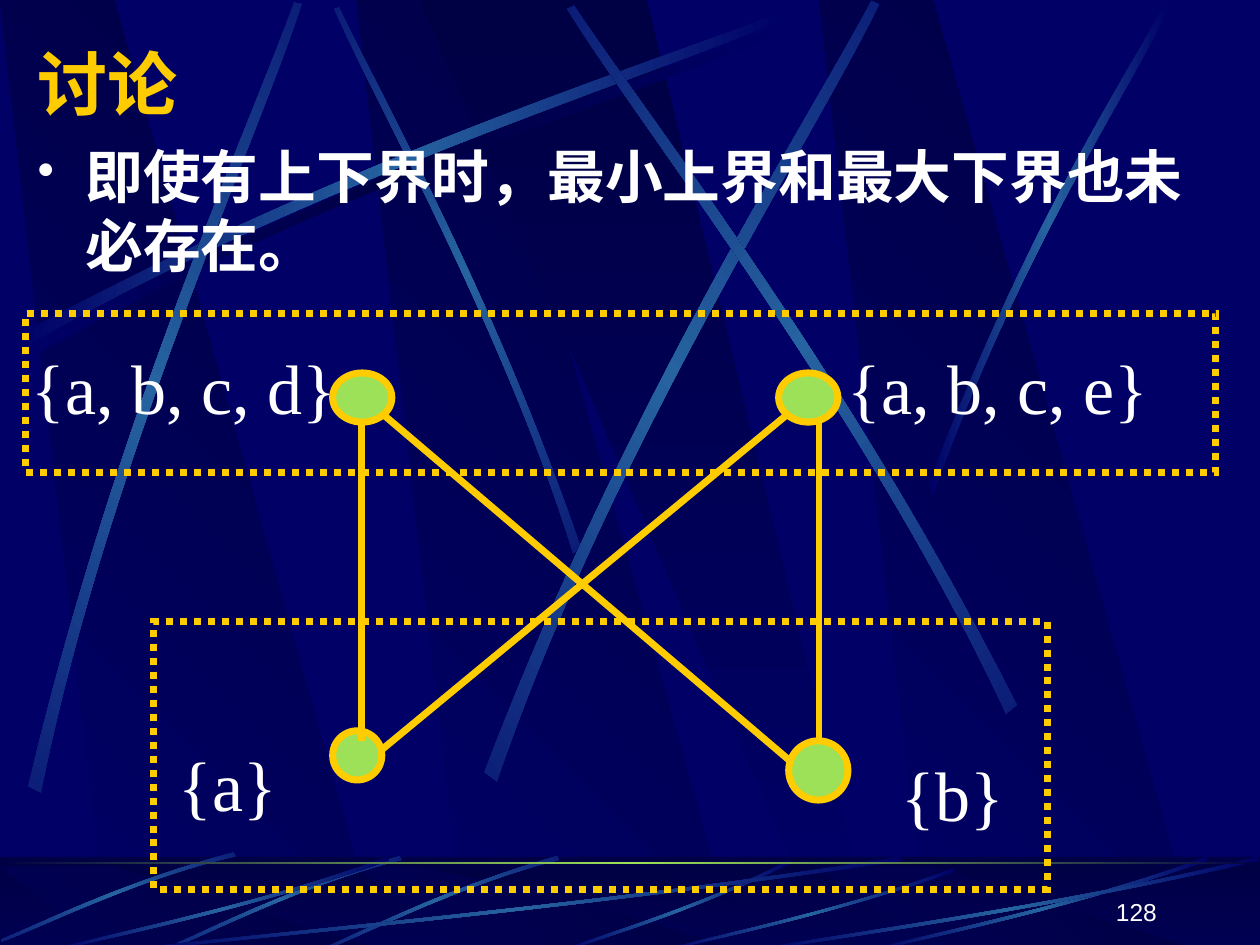
import copy
import pptx
import pptx.util
import pptx.dml.color
import pptx.enum.dml
import pptx.enum.shapes
import pptx.enum.text
import pptx.oxml
import pptx.oxml.ns

Inches, Pt = pptx.util.Inches, pptx.util.Pt
RGBColor = pptx.dml.color.RGBColor
MSO_SHAPE = pptx.enum.shapes.MSO_SHAPE
MSO_ANCHOR = pptx.enum.text.MSO_ANCHOR
PP_ALIGN = pptx.enum.text.PP_ALIGN
qn = pptx.oxml.ns.qn

NAVY = RGBColor(0x00, 0x00, 0x66)
DARK = RGBColor(0x00, 0x00, 0x44)
BLUE = RGBColor(0x26, 0x63, 0xA0)
GREEN = RGBColor(0x9C, 0xE1, 0x57)
GOLD = RGBColor(0xFF, 0xCC, 0x00)
WHITE = RGBColor(0xFF, 0xFF, 0xFF)
CJK, SANS, SERIF = "Noto Sans CJK SC", "Arial", "Times New Roman"

# Content
TITLE = "讨论"
BODY = "即使有上下界时，最小上界和最大下界也未必存在。"
NUMBER = "128"
LABELS = [
    ("{a, b, c, d}", (0.21, 2.57, 2.5, 1)),
    ("{a, b, c, e}", (6.67, 2.57, 2.5, 1)),
    ("{a}", (1.22, 5.72, 1.18, 1)),
    ("{b}", (6.97, 5.8, 1.18, 1)),
]
NODES = [(2.64, 5.8, 0.39, 0.39), (6.26, 5.88, 0.47, 0.47),
         (2.64, 2.96, 0.47, 0.39), (6.18, 2.96, 0.47, 0.39)]
EDGES = [(2.87, 3.36, 2.87, 5.88), (3.03, 5.95, 6.26, 3.28),
         (6.5, 3.36, 6.5, 5.88), (3.03, 3.28, 6.26, 6.03)]
FRAMES = [(1.22, 4.93, 7.09, 2.13), (0.2, 2.49, 9.45, 1.26)]

# Background outlines, in fractions of their box
PANEL = [(0.285, 1), (1, 1), (0.3, 0), (0, 0)]
WEDGE = [(0, 0), (0.9, 1), (1, 1), (0.5, 0)]
# Two curves of four points each, out and back
STREAK = [(0, 0.96), (0.43, 0.43), (0.83, 0.15), (0.995, 0),
          (1, 0.02), (0.83, 0.19), (0.38, 0.5), (0.005, 1)]
PANEL_LEFTS = (2.83, 0, 6.5)
# box, rotation, mirrored across, mirrored down, colours
FADE = [NAVY, BLUE, NAVY]
TOP_STREAKS = [
    ((0.2, 0.18, 6.08, 2.67), 0, False, False, [NAVY, DARK, NAVY]),
    ((1.41, 1.35, 4.42, 1.75), 45, True, False, FADE),
    ((0.14, 0.1, 6.08, 2.67), 0, False, False, FADE),
    ((-1.71, 1.82, 6.08, 2.67), 311.7, False, False, FADE),
    ((2.31, 1.6, 6.24, 3.01), 321.6, False, False, FADE),
    ((3.23, 1.52, 6.08, 2.67), 34.7, True, False, FADE),
    ((7.38, 0, 1.89, 3.97), 0, False, False, FADE),
]
FLOOR_STREAKS = [
    (box, turn, True, turn == 0, FADE) for box, turn in [
        ((4.48, 6.82, 1.8, 0.73), 0), ((2.58, 6.76, 1.84, 0.83), 315),
        ((1.33, 6.76, 1.84, 0.83), 315), ((0.04, 6.7, 1.8, 0.85), 315),
        ((1, 6.8, 6.17, 0.75), 0), ((0.42, 6.8, 2.67, 0.75), 0),
        ((5.27, 6.89, 2.31, 0.66), 0), ((6.92, 6.8, 2.67, 0.75), 0),
        ((6, 6.8, 4, 0.75), 0)]
]

deck = pptx.Presentation()
deck.slide_width, deck.slide_height = Inches(10), Inches(7.5)
page = deck.slides.add_slide(deck.slide_layouts[6])
page.background.fill.solid()
page.background.fill.fore_color.rgb = NAVY


def paint_gradient(shape, colours, angle):
    """Even stops; the angle is clockwise."""
    shape.fill.gradient()
    shape.fill.gradient_angle = (360 - angle) % 360
    stop_list = shape._element.spPr.find(qn("a:gradFill")).find(qn("a:gsLst"))
    while len(stop_list) < len(colours):
        stop_list.append(copy.deepcopy(stop_list[0]))
    for index, (stop, colour) in enumerate(zip(shape.fill.gradient_stops, colours)):
        stop.color.rgb = colour
        stop.position = index / (len(colours) - 1)


def add_preset(kind, box):
    shape = page.shapes.add_shape(kind, *map(Inches, box))
    shape.shadow.inherit = False
    shape.line.fill.background()
    return shape


def add_outline(points, box, colours, angle):
    left, top, width, height = box
    spots = [(Inches(left + x * width), Inches(top + y * height)) for x, y in points]
    builder = page.shapes.build_freeform(*spots[0])
    builder.add_line_segments(spots[1:], close=True)
    shape = builder.convert_to_shape()
    shape.shadow.inherit = False
    shape.line.fill.background()
    paint_gradient(shape, colours, angle)
    return shape


def add_streak(box, turn, across, down, colours):
    points = [(1 - x if across else x, 1 - y if down else y) for x, y in STREAK]
    shape = add_outline(points, box, colours, 0)
    shape.rotation = turn
    # Bend each run of three straight pieces into one curve
    lines = list(shape._element.spPr.iter(qn("a:lnTo")))
    for pieces in (lines[0:3], lines[4:7]):
        bend = pieces[0].makeelement(qn("a:cubicBezTo"), {})
        pieces[0].addprevious(bend)
        for piece in pieces:
            bend.append(piece[0])
            piece.getparent().remove(piece)


def add_panels(top, height):
    for left in PANEL_LEFTS:
        add_outline(PANEL, (left, top, 3.02, height), [NAVY, DARK], 315)
    add_outline(WEDGE, (3.33, top, 3.61, height), [DARK, NAVY], 90)


def add_text(text, box, size, font, colour=WHITE, bold=False, align=PP_ALIGN.LEFT,
             anchor=MSO_ANCHOR.MIDDLE, wrap=True):
    frame = page.shapes.add_textbox(*map(Inches, box)).text_frame
    frame.word_wrap = wrap
    frame.vertical_anchor = anchor
    frame.text = text
    paragraph = frame.paragraphs[0]
    paragraph.alignment = align
    span = paragraph.runs[0]
    span.font.size, span.font.name, span.font.bold = Pt(size), font, bold
    span.font.color.rgb = colour
    if bold:
        east = pptx.oxml.parse_xml(
            '<a:ea xmlns:a="http://schemas.openxmlformats.org/drawingml/2006/main"/>')
        east.set("typeface", CJK)
        span.font._element.find(qn("a:latin")).addnext(east)
    return frame


# Backdrop
add_panels(0, 7.52)
for streak in TOP_STREAKS:
    add_streak(*streak)

# Floor
FLOOR = (0, 6.8, 10, 0.75)
paint_gradient(add_preset(MSO_SHAPE.RECTANGLE, FLOOR), [DARK, NAVY], 90)
add_panels(6.88, 0.66)
veil = add_preset(MSO_SHAPE.RECTANGLE, FLOOR)
veil.fill.solid()
veil.fill.fore_color.rgb = DARK
veil_colour = veil._element.spPr.find(qn("a:solidFill"))[0]
veil_colour.append(veil_colour.makeelement(qn("a:alpha"), {"val": "50000"}))
for streak in FLOOR_STREAKS:
    add_streak(*streak)
paint_gradient(add_preset(MSO_SHAPE.RECTANGLE, (0, 6.84, 10, 0.02)), [DARK, GREEN, DARK], 0)

# Body bullet
body = add_text(BODY, (0.2, 1.07, 9.67, 5.83), 33, SANS, bold=True, anchor=MSO_ANCHOR.TOP)
body.margin_top = Inches(0.05)
body.paragraphs[0].line_spacing = Pt(39.5)
settings = body.paragraphs[0]._p.get_or_add_pPr()
settings.set("marL", str(Inches(0.38)))
settings.set("indent", str(-Inches(0.38)))
for tag, value in (("a:buSzPct", {"val": "85000"}), ("a:buChar", {"char": "•"})):
    settings.append(settings.makeelement(qn(tag), value))

# Order diagram
for box in NODES:
    node = add_preset(MSO_SHAPE.OVAL, box)
    node.fill.solid()
    node.fill.fore_color.rgb = GREEN
    node.line.color.rgb, node.line.width = GOLD, Pt(4)
for ends in EDGES:
    edge = page.shapes.add_connector(pptx.enum.shapes.MSO_CONNECTOR.STRAIGHT, *map(Inches, ends))
    edge.line.color.rgb, edge.line.width = GOLD, Pt(4)
    properties = edge._element.spPr
    properties.append(properties.makeelement(qn("a:effectLst"), {}))
for text, box in LABELS:
    label = add_text(text, box, 40, SERIF, align=PP_ALIGN.CENTER, wrap=False)
    label.margin_left = label.margin_right = 0
for box in FRAMES:
    border = add_preset(MSO_SHAPE.RECTANGLE, box)
    border.fill.background()
    border.line.color.rgb, border.line.width = GOLD, Pt(4)
    border.line.dash_style = pptx.enum.dml.MSO_LINE.ROUND_DOT
    outline = border._element.spPr.find(qn("a:ln"))
    outline.append(outline.makeelement(qn("a:miter"), {"lim": "800000"}))

# Page number and title
add_text(NUMBER, (7.2, 6.9, 2.08, 0.5), 14, SANS, align=PP_ALIGN.RIGHT, anchor=MSO_ANCHOR.BOTTOM)
add_text(TITLE, (0.2, 0.27, 8.5, 0.77), 40, CJK, GOLD, bold=True)

deck.save("out.pptx")
